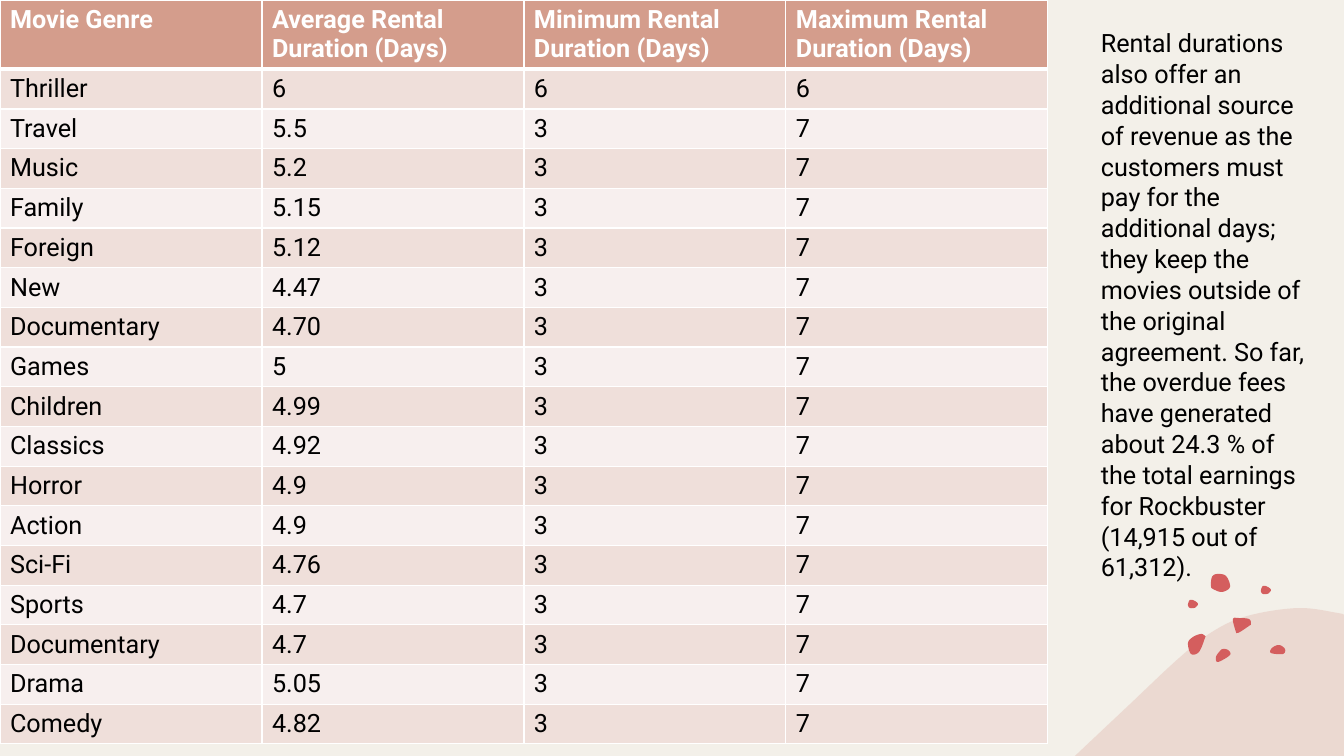
"""Build a slide with a table of rental durations by movie genre and a note on overdue fees."""
import pptx
import pptx.dml.color
import pptx.enum.text
import pptx.oxml
import pptx.oxml.ns
import pptx.util

PX = 914400 / 100.8
FONT = "Roboto"
SIZE = pptx.util.Pt(18)
BACKGROUND = pptx.dml.color.RGBColor(0xF3, 0xF0, 0xE9)
HILL = pptx.dml.color.RGBColor(0xE5, 0xC4, 0xBA)
PEBBLE = pptx.dml.color.RGBColor(0xD4, 0x5E, 0x5E)
HEADER = pptx.dml.color.RGBColor(0xD4, 0x9D, 0x8C)
BAND_DARK = pptx.dml.color.RGBColor(0xEF, 0xDF, 0xDA)
BAND_LIGHT = pptx.dml.color.RGBColor(0xF7, 0xEF, 0xEE)
WHITE = pptx.dml.color.RGBColor(0xFF, 0xFF, 0xFF)
BLACK = pptx.dml.color.RGBColor(0, 0, 0)


def smooth(anchors, steps=8):
    """Return points on the curve through all anchors but the first and last."""
    points = []
    for a, b, c, d in zip(anchors, anchors[1:], anchors[2:], anchors[3:]):
        for i in range(steps):
            t = i / steps
            points.append(tuple(
                q + t * (r - p + t * (2 * p - 5 * q + 4 * r - s + t * (3 * q - p - 3 * r + s))) / 2
                for p, q, r, s in zip(a, b, c, d)))
    return points + [anchors[-2]]


def add_outline(shapes, points, color):
    """Add a filled closed shape through points given in px."""
    emu = [(round(x * PX), round(y * PX)) for x, y in points]
    builder = shapes.build_freeform(*emu[0])
    builder.add_line_segments(emu[1:], close=True)
    sp = builder.convert_to_shape()
    sp.shadow.inherit = False
    sp.fill.solid()
    sp.fill.fore_color.rgb = color
    sp.line.fill.background()
    return sp


prs = pptx.Presentation()
prs.slide_width = round(1344 * PX)
prs.slide_height = round(756 * PX)
s = prs.slides.add_slide(prs.slide_layouts[6])
s.background.fill.solid()
s.background.fill.fore_color.rgb = BACKGROUND

ridge = [(1076, 755), (1128, 706), (1178, 659), (1212, 632), (1247, 616),
         (1298, 608), (1338, 613), (1344, 615)]
hill = add_outline(s.shapes, smooth(ridge[:1] + ridge + ridge[-1:]) + [(1344, 756), (1075, 756)], HILL)
srgb = hill.fill._xPr.find(".//" + pptx.oxml.ns.qn("a:srgbClr"))
srgb.append(pptx.oxml.parse_xml(f'<a:alpha {pptx.oxml.ns.nsdecls("a")} val="50000"/>'))

dot = [(1261, 591), (1263, 586), (1268, 587), (1271, 590), (1269, 593), (1267, 594), (1263, 594)]
pebbles = [
    [(1223, 649), (1228, 650), (1230, 655), (1218, 662), (1216, 657), (1220, 651)],
    [(1201, 634), (1205, 636), (1205, 638), (1199, 652), (1191, 654), (1188, 643), (1193, 637)],
    [(1279, 645), (1285, 649), (1283, 654), (1271, 653), (1272, 648)],
    [(1211, 586), (1212, 577), (1217, 574), (1226, 576), (1230, 587), (1222, 592), (1213, 589)],
    dot,
    [(x - 73, y + 14) for x, y in dot],
    [(1238, 618), (1249, 619), (1251, 624), (1249, 626), (1240, 632), (1237, 633),
     (1236, 632), (1233, 621), (1234, 618)],
]
for pebble in pebbles:
    add_outline(s.shapes, smooth(pebble[-1:] + pebble + pebble[:2]), PEBBLE)

averages = [
    ("Travel", "5.5"), ("Music", "5.2"), ("Family", "5.15"), ("Foreign", "5.12"),
    ("New", "4.47"), ("Documentary", "4.70"), ("Games", "5"), ("Children", "4.99"),
    ("Classics", "4.92"), ("Horror", "4.9"), ("Action", "4.9"), ("Sci-Fi", "4.76"),
    ("Sports", "4.7"), ("Documentary", "4.7"), ("Drama", "5.05"), ("Comedy", "4.82"),
]
rows = [
    ("Movie Genre", "Average Rental Duration (Days)",
     "Minimum Rental Duration (Days)", "Maximum Rental Duration (Days)"),
    ("Thriller", "6", "6", "6"),
] + [(genre, average, "3", "7") for genre, average in averages]

heights = [69] + [39] * (len(rows) - 1)
table = s.shapes.add_table(len(rows), 4, 0, 0, round(1048 * PX), round(sum(heights) * PX)).table
table.horz_banding = False
for column in table.columns:
    column.width = round(262 * PX)
for i, values in enumerate(rows):
    table.rows[i].height = round(heights[i] * PX)
    for j, value in enumerate(values):
        cell = table.cell(i, j)
        tcPr = cell._tc.get_or_add_tcPr()
        for side in "LRTB":
            width = 3 if (i, side) in ((0, "B"), (1, "T")) else 1
            tcPr.append(pptx.oxml.parse_xml(
                f'<a:ln{side} {pptx.oxml.ns.nsdecls("a")} w="{width * 12700}">'
                f'<a:solidFill><a:srgbClr val="{WHITE}"/></a:solidFill></a:ln{side}>'))
        cell.fill.solid()
        cell.fill.fore_color.rgb = HEADER if i == 0 else BAND_DARK if i % 2 else BAND_LIGHT
        cell.text_frame.text = value
        font = cell.text_frame.paragraphs[0].runs[0].font
        font.name = FONT
        font.size = SIZE
        font.bold = i == 0
        font.color.rgb = WHITE if i == 0 else BLACK

note = s.shapes.add_textbox(*(round(v * PX) for v in (1091, 22, 224, 591)))
tf = note.text_frame
tf.word_wrap = True
tf.auto_size = pptx.enum.text.MSO_AUTO_SIZE.SHAPE_TO_FIT_TEXT
tf.text = (
    "Rental durations also offer an additional source of revenue as the customers must pay "
    "for the additional days; they keep the movies outside of the original agreement. So far, "
    "the overdue fees have generated about 24.3 % of the total earnings for Rockbuster "
    "(14,915 out of 61,312).")
p = tf.paragraphs[0]
p.line_spacing = 1.02
r = p.runs[0]
r.font.name = FONT
r.font.size = SIZE
r.font.color.rgb = BLACK

prs.save("out.pptx")
